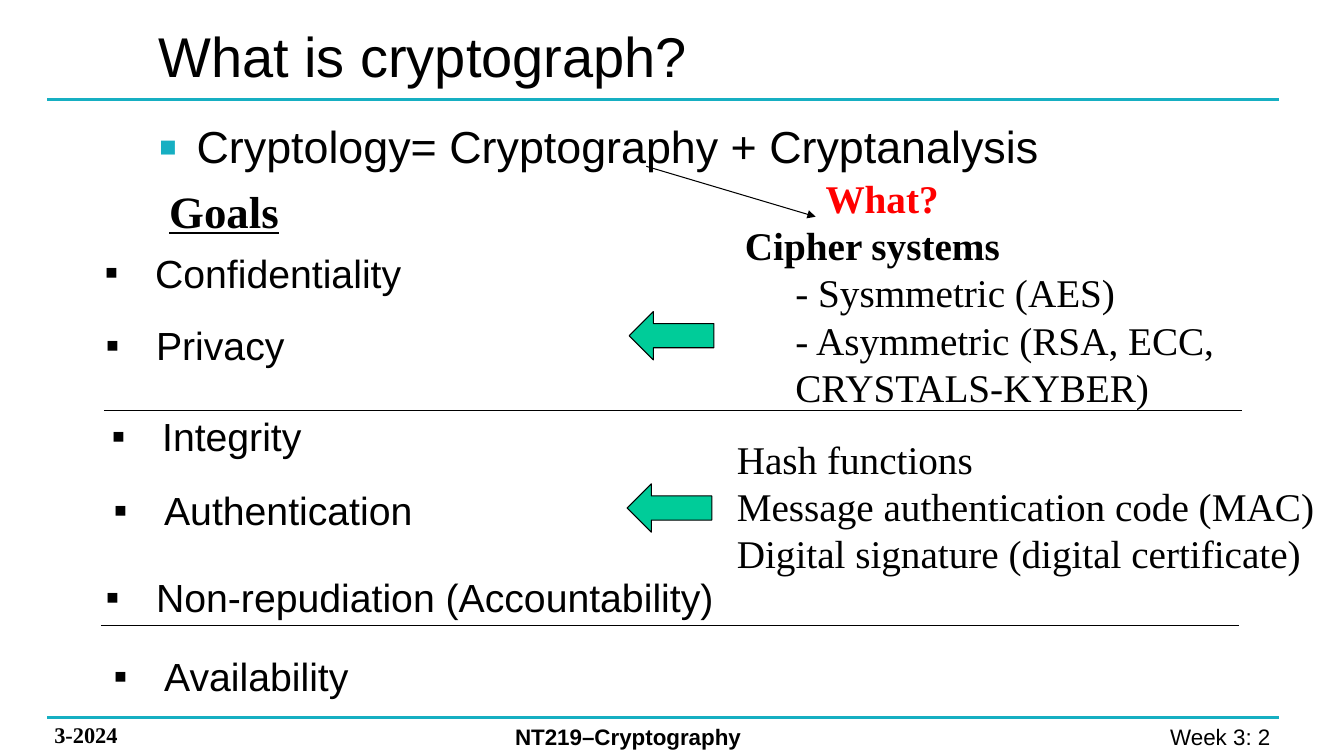
"""Build the slide on the goals of cryptography and the systems that serve them."""
from dataclasses import dataclass
from typing import Optional

from lxml.etree import SubElement
from pptx import Presentation
from pptx.dml.color import RGBColor
from pptx.enum.shapes import MSO_CONNECTOR as Connector, MSO_SHAPE as Preset
from pptx.enum.text import MSO_ANCHOR as Anchor, MSO_AUTO_SIZE as AutoSize, PP_ALIGN as Align
from pptx.oxml.ns import qn
from pptx.util import Inches, Pt


@dataclass(frozen=True)
class Theme:
    """Colours, fonts and type sizes of the slide."""
    ink: str = "000000"
    accent: str = "16AFC2"
    alert: str = "FF0000"
    arrow: str = "00CC99"
    sans: str = "Arial"
    serif: str = "Times New Roman"
    title: int = 40
    heading: int = 32
    text: int = 28
    footer: int = 16
    thin: float = 0.75
    thick: float = 2.25


@dataclass(frozen=True)
class Box:
    """Position and size in inches."""
    left: float
    top: float
    width: float
    height: float

    def lengths(self):
        """Return the four values as lengths."""
        return [Inches(v) for v in (self.left, self.top, self.width, self.height)]


@dataclass(frozen=True)
class Goal:
    """A bulleted goal and its place."""
    name: str
    box: Box


@dataclass(frozen=True)
class Rule:
    """A straight line between two points."""
    start: tuple[float, float]
    end: tuple[float, float]
    color: str
    weight: float
    arrow: bool = False


THEME = Theme()
GOALS = [
    Goal("Confidentiality", Box(0.94, 2.42, 3.18, 0.57)),
    Goal("Privacy", Box(0.95, 3.14, 2, 0.57)),
    Goal("Integrity", Box(1.01, 4.04, 2.11, 0.57)),
    Goal("Authentication", Box(1.03, 4.78, 3.2, 0.57)),
    Goal("Non-repudiation (Accountability)", Box(0.95, 5.64, 6.33, 0.57)),
    Goal("Availability", Box(1.03, 6.42, 2.56, 0.57)),
]
RULES = [
    Rule((0.47, 0.99), (12.69, 0.99), THEME.accent, THEME.thick),
    Rule((0.47, 7.12), (12.69, 7.12), THEME.accent, THEME.thick),
    Rule((1.03, 4.07), (12.32, 4.07), THEME.ink, THEME.thin),
    Rule((1, 6.21), (12.29, 6.21), THEME.ink, THEME.thin),
    Rule((6.41, 1.65), (8.09, 2.15), THEME.ink, THEME.thin, arrow=True),
]
GOAL_ARROWS = [Box(6.42, 2.91, 0.48, 0.84), Box(6.4, 4.62, 0.48, 0.84)]


def write(frame, text: str, *, size: int = THEME.text, font: str = THEME.sans,
          color: str = THEME.ink, bold: bool = False, underline: bool = False,
          align: Align = Align.LEFT, indent: float = 0, hanging: float = 0, level: int = 0,
          before: float = 0, bullet_color: Optional[str] = None, more: bool = False):
    """Write one paragraph of formatted text, as an added one when more is set."""
    paragraph = frame.add_paragraph() if more else frame.paragraphs[0]
    paragraph.alignment, paragraph.level = align, level
    paragraph.space_before = Pt(before)
    run = paragraph.add_run()
    run.text = text
    run.font.size, run.font.name = Pt(size), font
    run.font.bold, run.font.underline = bold, underline
    run.font.color.rgb = RGBColor.from_string(color)
    props = paragraph._p.get_or_add_pPr()
    props.set("marL", str(Inches(indent)))
    props.set("indent", str(Inches(-hanging)))
    if hanging:
        if bullet_color:
            SubElement(SubElement(props, qn("a:buClr")), qn("a:srgbClr"), val=bullet_color)
            SubElement(props, qn("a:buSzPct"), val="125000")
        SubElement(props, qn("a:buFont"), typeface=THEME.sans)
        SubElement(props, qn("a:buChar"), char="▪")


def add_text(slide, box: Box, text: str, *, wrap: bool = False, **style):
    """Add a text box with a first paragraph and return its frame."""
    frame = slide.shapes.add_textbox(*box.lengths()).text_frame
    frame.word_wrap = wrap
    frame.auto_size = AutoSize.SHAPE_TO_FIT_TEXT
    write(frame, text, **style)
    return frame


def fill_placeholder(holder, box: Box, anchor: Anchor, text: str, **style) -> None:
    """Move a placeholder and write its text."""
    holder.left, holder.top, holder.width, holder.height = box.lengths()
    frame = holder.text_frame
    frame.auto_size, frame.vertical_anchor, frame.word_wrap = AutoSize.NONE, anchor, True
    write(frame, text, **style)


def add_rule(slide, rule: Rule) -> None:
    """Draw a straight line, with an arrowhead if asked."""
    points = [Inches(v) for v in (*rule.start, *rule.end)]
    connector = slide.shapes.add_connector(Connector.STRAIGHT, *points)
    connector.line.color.rgb = RGBColor.from_string(rule.color)
    connector.line.width = Pt(rule.weight)
    if rule.arrow:
        SubElement(connector.line._get_or_add_ln(), qn("a:tailEnd"), type="triangle")
    SubElement(connector._element.spPr, qn("a:effectLst"))


def add_goal_arrow(slide, box: Box) -> None:
    """Draw a block arrow pointing left at the goals."""
    arrow = slide.shapes.add_shape(Preset.DOWN_ARROW, *box.lengths())
    arrow.rotation = 90
    arrow.shadow.inherit = False
    arrow.fill.solid()
    arrow.fill.fore_color.rgb = RGBColor.from_string(THEME.arrow)
    arrow.line.color.rgb = RGBColor.from_string(THEME.ink)
    arrow.line.width = Pt(THEME.thin)


def main() -> None:
    """Build and save the slide."""
    deck = Presentation()
    deck.slide_width, deck.slide_height = Inches(13.33), Inches(7.5)
    slide = deck.slides.add_slide(deck.slide_layouts[1])

    fill_placeholder(slide.shapes.title, Box(1.47, 0.11, 7.28, 0.87), Anchor.MIDDLE,
                     "What is cryptograph?", size=THEME.title)
    fill_placeholder(slide.placeholders[1], Box(1.47, 1.13, 8.97, 5.43), Anchor.TOP,
                     "Cryptology= Cryptography + Cryptanalysis", size=THEME.heading,
                     indent=0.38, hanging=0.38, before=8, bullet_color=THEME.accent)
    for rule in RULES:
        add_rule(slide, rule)
    for box in GOAL_ARROWS:
        add_goal_arrow(slide, box)

    add_text(slide, Box(1.58, 1.77, 1.3, 0.64), "Goals", size=THEME.heading,
             font=THEME.serif, bold=True, underline=True)
    for goal in GOALS:
        add_text(slide, goal.box, goal.name, indent=0.5, hanging=0.5)

    add_text(slide, Box(8.09, 1.68, 1.34, 0.57), "What?", font=THEME.serif,
             color=THEME.alert, bold=True)
    ciphers = add_text(slide, Box(7.29, 2.15, 5.95, 1.99), "Cipher systems", wrap=True,
                       font=THEME.serif, bold=True)
    for cipher in ("- Sysmmetric (AES)", "- Asymmetric (RSA, ECC, CRYSTALS-KYBER)"):
        write(ciphers, cipher, font=THEME.serif, indent=0.5, level=1, more=True)
    integrity_tools = add_text(slide, Box(7.21, 4.27, 6.33, 1.51), "Hash functions",
                               wrap=True, font=THEME.serif)
    for tool in ("Message authentication code (MAC)", "Digital signature (digital certificate)"):
        write(integrity_tools, tool, font=THEME.serif, more=True)

    add_text(slide, Box(0.44, 7.11, 1.78, 0.37), "3-2024", wrap=True,
             size=THEME.footer, font=THEME.serif, bold=True)
    add_text(slide, Box(5.01, 7.12, 4.09, 0.37), "NT219–Cryptography", wrap=True,
             size=THEME.footer, bold=True)
    add_text(slide, Box(9.82, 7.12, 2.94, 0.37), "Week 3: 2 ", wrap=True,
             size=THEME.footer, align=Align.RIGHT)
    deck.save("out.pptx")


if __name__ == "__main__":
    main()
